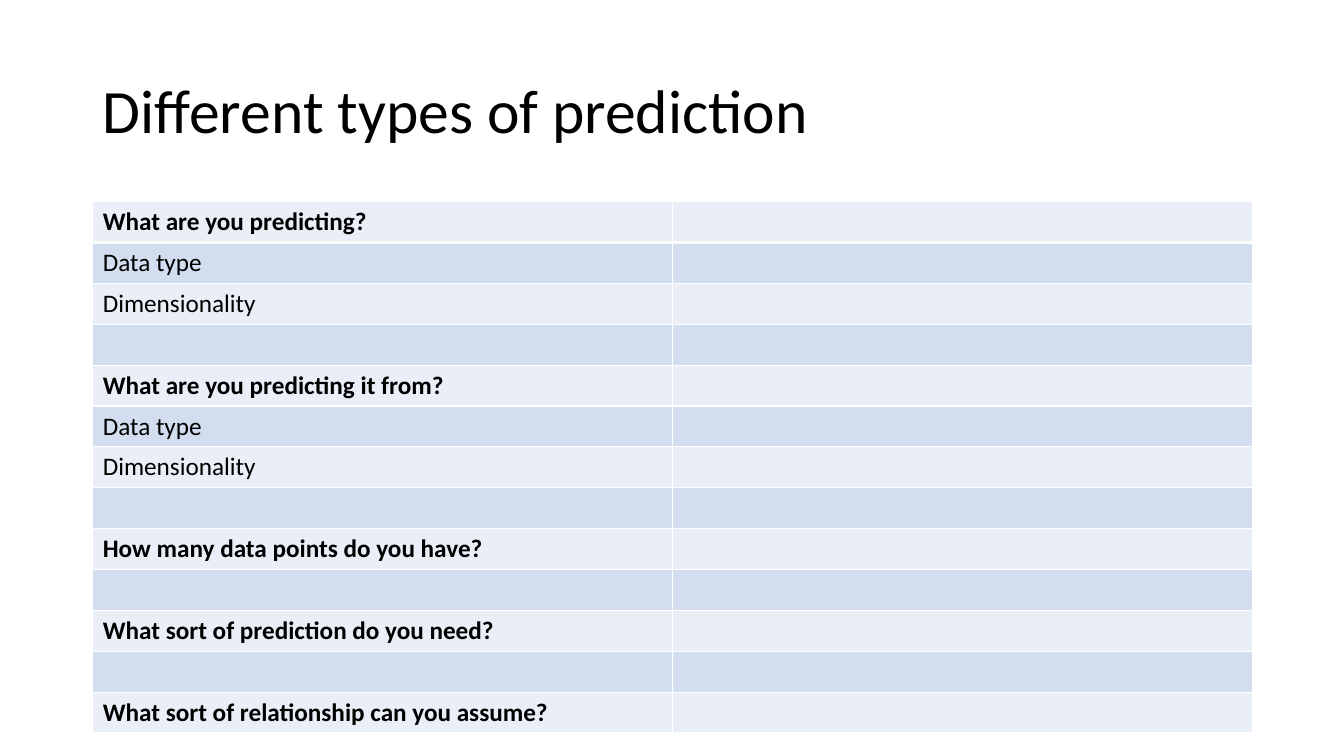
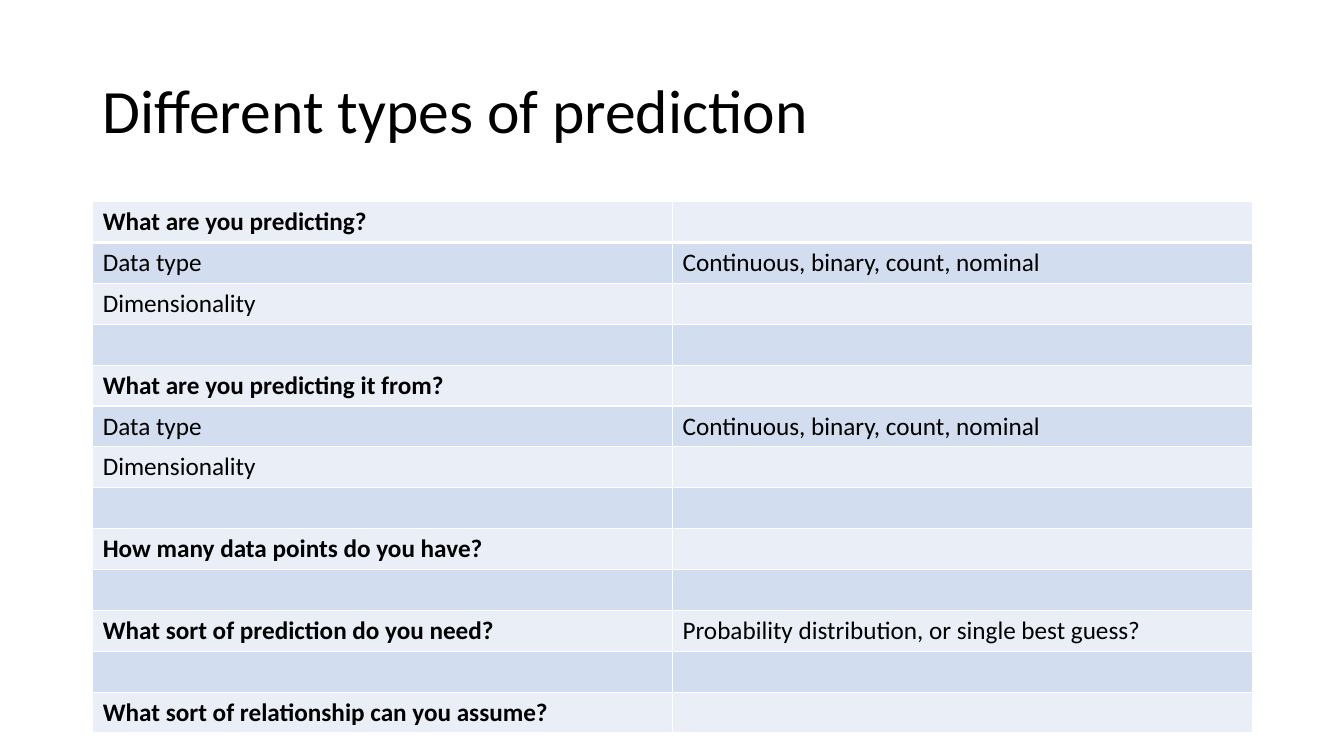
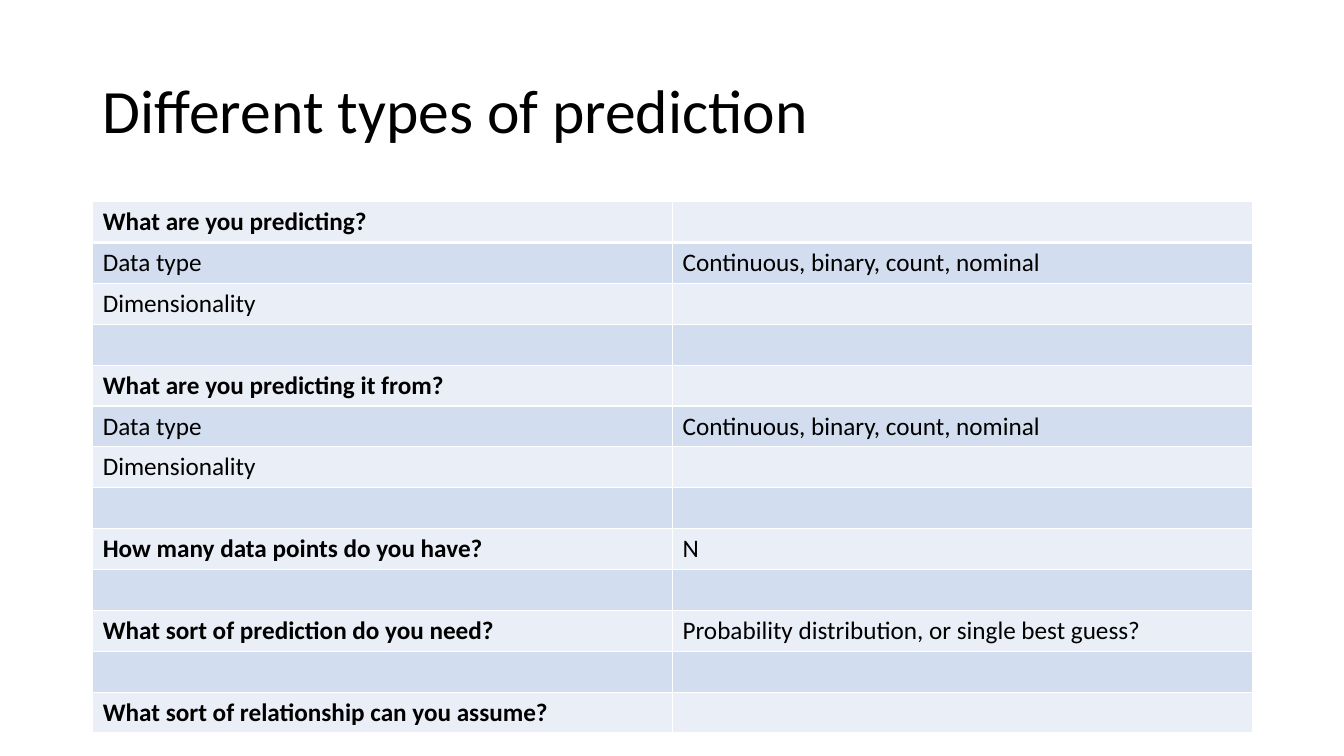
"""Build three slides that fill in a checklist for choosing a type of prediction."""

from lxml.etree import SubElement
from pptx import Presentation
from pptx.dml.color import RGBColor
from pptx.enum.text import MSO_ANCHOR, PP_ALIGN
from pptx.oxml.ns import qn
from pptx.util import Inches, Pt

BLACK = RGBColor(0x00, 0x00, 0x00)
WHITE = RGBColor(0xFF, 0xFF, 0xFF)
LIGHT_BAND = RGBColor(0xEA, 0xEF, 0xF7)
DARK_BAND = RGBColor(0xD2, 0xDE, 0xEF)

TITLE = "Different types of prediction"
DATA_TYPES = "Continuous, binary, count, nominal"
GUESS = "Probability distribution, or single best guess?"
PROMPTS = [
    "What are you predicting?",
    "Data type",
    "Dimensionality",
    "",
    "What are you predicting it from?",
    "Data type",
    "Dimensionality",
    "",
    "How many data points do you have?",
    "",
    "What sort of prediction do you need?",
    "",
    "What sort of relationship can you assume?",
]
FIRST_ANSWERS = {1: DATA_TYPES, 5: DATA_TYPES, 10: GUESS}
ANSWERS_BY_SLIDE = [{}, FIRST_ANSWERS, {**FIRST_ANSWERS, 8: "N"}]


class Deck:
    """Hold the shared style and the current slide."""

    title_box = {"left": Inches(0.92), "top": Inches(0.4),
                 "width": Inches(11.5), "height": Inches(1.45)}
    title_paragraph = {"alignment": PP_ALIGN.LEFT, "line_spacing": 0.9}
    title_font = {"name": "Calibri", "size": Pt(44), "bold": False}
    cell_font = {"name": "Calibri", "size": Pt(18)}
    table_box = (Inches(0.92), Inches(2), Inches(11.5), Inches(5.27))
    thin, thick = Pt(1), Pt(3)

    def __init__(self):
        self.presentation = Presentation()
        self.presentation.slide_width = Inches(13.33)
        self.presentation.slide_height = Inches(7.5)
        self.slide = None

    def apply(self, target, values):
        """Set each attribute of the target from a dict."""
        for name, value in values.items():
            setattr(target, name, value)

    def add_text(self, text_frame, text, font):
        """Write one run of black text and return its paragraph."""
        paragraph = text_frame.paragraphs[0]
        run = paragraph.add_run()
        run.text = text
        self.apply(run.font, font)
        run.font.color.rgb = BLACK
        return paragraph

    def add_slide(self, title):
        """Start a title-only slide."""
        self.slide = self.presentation.slides.add_slide(self.presentation.slide_layouts[5])
        shape = self.slide.shapes.title
        self.apply(shape, self.title_box)
        shape.text_frame.vertical_anchor = MSO_ANCHOR.MIDDLE
        paragraph = self.add_text(shape.text_frame, title, self.title_font)
        self.apply(paragraph, self.title_paragraph)

    def add_borders(self, cell, top, bottom):
        """Draw white lines on all sides of a cell."""
        properties = cell._tc.get_or_add_tcPr()
        widths = {"a:lnL": self.thin, "a:lnR": self.thin, "a:lnT": top, "a:lnB": bottom}
        for tag, width in widths.items():
            line = SubElement(properties, qn(tag), w=str(width))
            fill = SubElement(line, qn("a:solidFill"))
            SubElement(fill, qn("a:srgbClr"), val=str(WHITE))

    def add_checklist(self, prompts, answers):
        """Add a banded table of prompts and answers."""
        table = self.slide.shapes.add_table(len(prompts), 2, *self.table_box).table
        table.first_row = False
        for row, prompt in enumerate(prompts):
            top = self.thick if row == 1 else self.thin
            bottom = self.thick if row == 0 else self.thin
            for column, text in enumerate((prompt, answers.get(row, ""))):
                cell = table.cell(row, column)
                self.add_borders(cell, top, bottom)
                cell.fill.solid()
                cell.fill.fore_color.rgb = DARK_BAND if row % 2 else LIGHT_BAND
                if text:
                    is_question = column == 0 and text.endswith("?")
                    self.add_text(cell.text_frame, text, {**self.cell_font, "bold": is_question})


def main():
    """Build and save the slides."""
    deck = Deck()
    for answers in ANSWERS_BY_SLIDE:
        deck.add_slide(TITLE)
        deck.add_checklist(PROMPTS, answers)
    deck.presentation.save("out.pptx")


if __name__ == "__main__":
    main()
